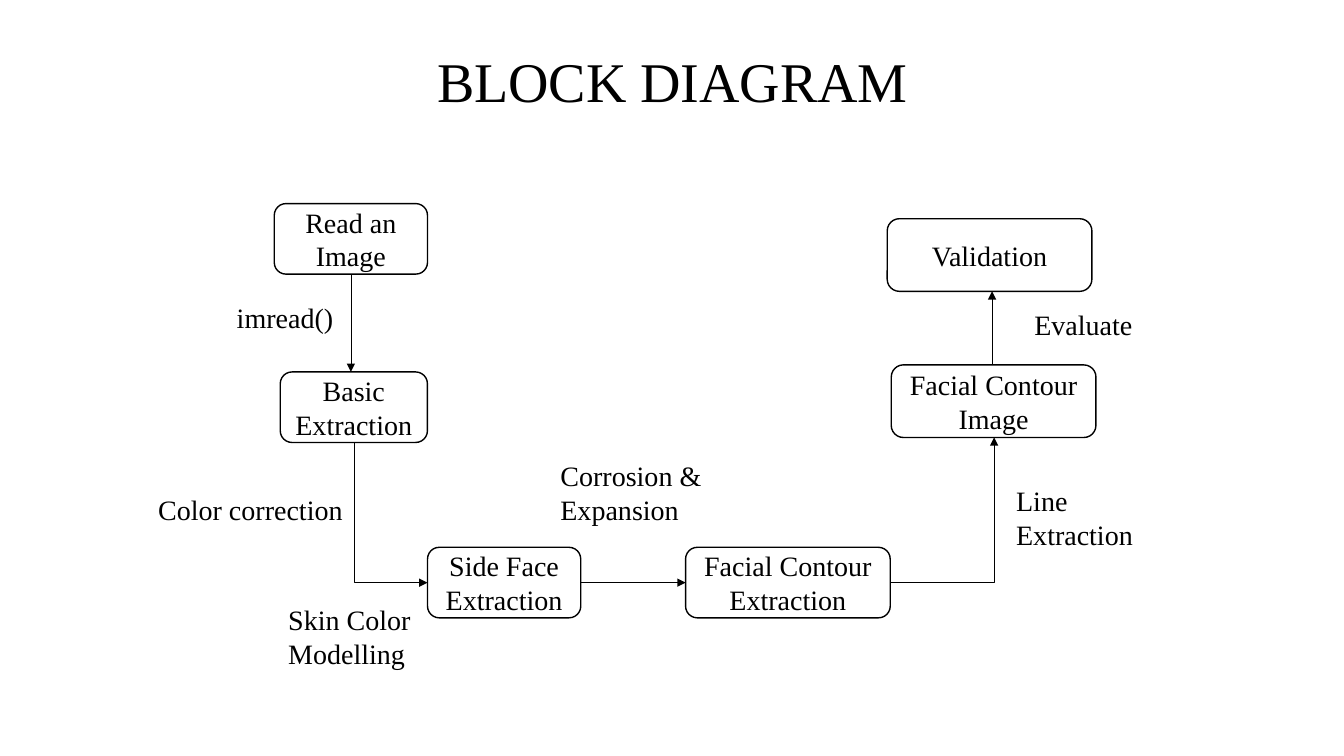
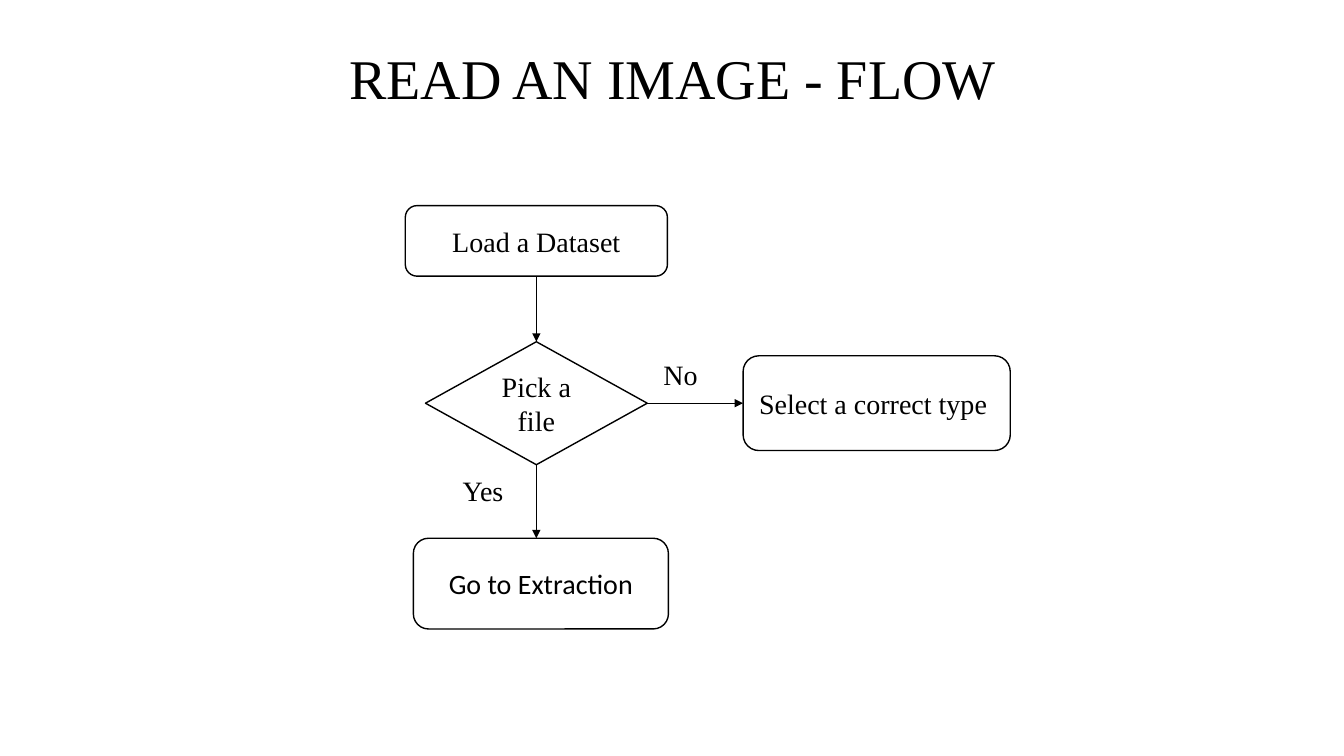
from lxml import etree
from pptx import Presentation
from pptx.dml.color import RGBColor
from pptx.enum.shapes import MSO_CONNECTOR, MSO_SHAPE
from pptx.enum.text import MSO_ANCHOR, PP_ALIGN
from pptx.oxml.ns import qn
from pptx.util import Emu, Pt

EMU_PER_PX = 9144
SLIDE_WIDTH, SLIDE_HEIGHT = 1333, 750

BLACK = RGBColor(0x00, 0x00, 0x00)
WHITE = RGBColor(0xFF, 0xFF, 0xFF)
SERIF = "Times New Roman"
SANS = "Calibri"
TITLE_SIZE, BODY_SIZE = 40, 20

ROUNDED = MSO_SHAPE.ROUNDED_RECTANGLE
DIAMOND = MSO_SHAPE.DIAMOND
STRAIGHT = MSO_CONNECTOR.STRAIGHT
ELBOW = MSO_CONNECTOR.ELBOW
CENTER, LEFT = PP_ALIGN.CENTER, PP_ALIGN.LEFT
MIDDLE, TOP = MSO_ANCHOR.MIDDLE, MSO_ANCHOR.TOP
SIDE_TOP, SIDE_LEFT, SIDE_BOTTOM, SIDE_RIGHT = range(4)
QUARTER_TURN_LEFT = "16200000"


def px(*lengths):
    return [Emu(round(length * EMU_PER_PX)) for length in lengths]


def set_text(shape, text, size=BODY_SIZE, font=SERIF, align=LEFT, anchor=TOP):
    frame = shape.text_frame
    frame.word_wrap = True
    frame.vertical_anchor = anchor
    frame.text = text
    paragraph = frame.paragraphs[0]
    paragraph.alignment = align
    for run in paragraph.runs:
        run.font.name = font
        run.font.size = Pt(size)
        run.font.color.rgb = BLACK


def add_title_slide(presentation, title, title_height):
    slide = presentation.slides.add_slide(presentation.slide_layouts[6])
    box = slide.shapes.add_textbox(*px(92, 40, 1150, title_height))
    set_text(box, title, size=TITLE_SIZE, align=CENTER, anchor=MIDDLE)
    box.text_frame.paragraphs[0].line_spacing = 0.9
    return slide


def add_node(slide, text, bounds, kind=ROUNDED, font=SERIF):
    node = slide.shapes.add_shape(kind, *px(*bounds))
    node.shadow.inherit = False
    node.fill.solid()
    node.fill.fore_color.rgb = WHITE
    node.line.color.rgb = BLACK
    node.line.width = Pt(1)
    set_text(node, text, font=font, align=CENTER, anchor=MIDDLE)
    return node


def add_label(slide, text, bounds):
    set_text(slide.shapes.add_textbox(*px(*bounds)), text)


def add_arrow(slide, start, end, kind=STRAIGHT, source=None, target=None):
    arrow = slide.shapes.add_connector(kind, *px(*start, *end))
    arrow.line.color.rgb = BLACK
    arrow.line.width = Pt(0.5)
    properties = arrow._element.spPr
    etree.SubElement(properties.find(qn("a:ln")), qn("a:tailEnd"), type="triangle")
    etree.SubElement(properties, qn("a:effectLst"))
    if source:
        arrow.begin_connect(*source)
    if target:
        arrow.end_connect(*target)
    return arrow


def add_corner_arrow(slide, start, end, down_first=False):
    if down_first:
        (left, top), (right, bottom) = start, end
        middle_x, middle_y = (left + right) / 2, (top + bottom) / 2
        half_width, half_height = (bottom - top) / 2, (right - left) / 2
        start = (middle_x + half_width, middle_y - half_height)
        end = (middle_x - half_width, middle_y + half_height)
    arrow = add_arrow(slide, start, end, ELBOW)
    properties = arrow._element.spPr
    properties.find(qn("a:prstGeom")).set("prst", "bentConnector2")
    if down_first:
        properties.find(qn("a:xfrm")).set("rot", QUARTER_TURN_LEFT)


def build_block_diagram(presentation):
    slide = add_title_slide(presentation, "BLOCK DIAGRAM", 87)

    read_image = add_node(slide, "Read an Image", (272, 202, 152, 70))
    add_node(slide, "Basic Extraction", (278, 369, 146, 70))
    side_face = add_node(slide, "Side Face Extraction", (424, 543, 152, 70))
    contour = add_node(slide, "Facial Contour Extraction", (680, 543, 203, 70))
    add_node(slide, "Facial Contour Image", (884, 362, 203, 72))
    add_node(slide, "Validation", (880, 217, 203, 72))

    add_arrow(slide, (348, 272), (348, 369), source=(read_image, SIDE_BOTTOM))
    add_corner_arrow(slide, (351, 439), (424, 578), down_first=True)
    add_arrow(slide, (576, 578), (680, 578),
              source=(side_face, SIDE_RIGHT), target=(contour, SIDE_LEFT))
    add_corner_arrow(slide, (883, 578), (986, 434))
    add_arrow(slide, (984, 362), (984, 289))

    for text, bounds in (
        ("imread()", (225, 293, 116, 44)),
        ("Color correction", (147, 484, 209, 44)),
        ("Skin Color Modelling", (276, 593, 151, 77)),
        ("Corrosion & Expansion", (546, 450, 164, 77)),
        ("Line Extraction", (998, 475, 137, 77)),
        ("Evaluate", (1016, 300, 137, 44)),
    ):
        add_label(slide, text, bounds)


def build_read_flow(presentation):
    slide = add_title_slide(presentation, "READ AN IMAGE - FLOW", 81)

    load = add_node(slide, "Load a Dataset", (402, 204, 260, 70))
    pick = add_node(slide, "Pick a file", (422, 339, 220, 122), kind=DIAMOND)
    select = add_node(slide, "Select a correct type ", (737, 353, 265, 94))
    add_node(slide, "Go to Extraction", (410, 534, 253, 90), font=SANS)

    add_arrow(slide, (532, 274), (532, 339),
              source=(load, SIDE_BOTTOM), target=(pick, SIDE_TOP))
    add_arrow(slide, (642, 400), (737, 400),
              source=(pick, SIDE_RIGHT), target=(select, SIDE_LEFT))
    add_arrow(slide, (532, 461), (532, 534), source=(pick, SIDE_BOTTOM))

    add_label(slide, "No", (648, 350, 68, 46))
    add_label(slide, "Yes", (449, 465, 76, 46))


def main():
    presentation = Presentation()
    presentation.slide_width, presentation.slide_height = px(SLIDE_WIDTH, SLIDE_HEIGHT)
    build_block_diagram(presentation)
    build_read_flow(presentation)
    presentation.save("out.pptx")


if __name__ == "__main__":
    main()
